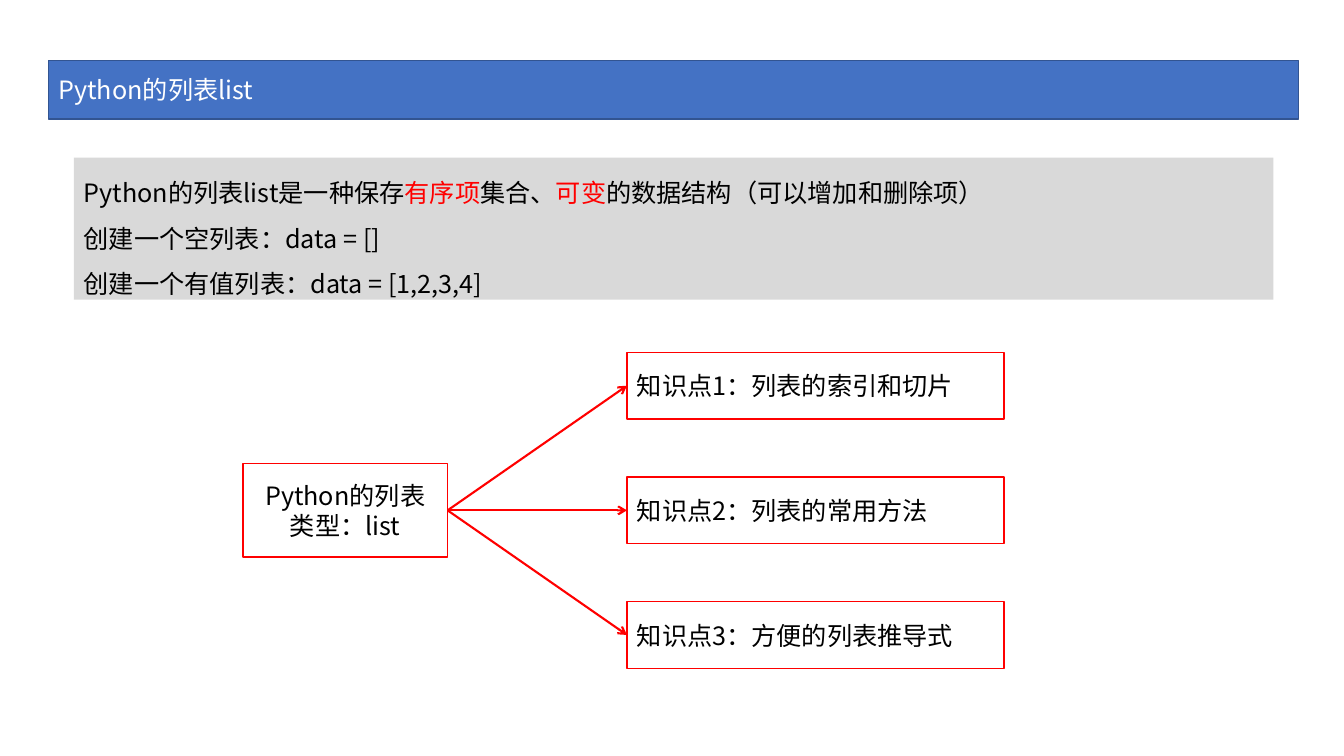
"""Build a slide that introduces the Python list and its three topics."""
from lxml import etree
from pptx import Presentation
from pptx.dml.color import RGBColor
from pptx.enum.shapes import MSO_CONNECTOR as CONN, MSO_SHAPE as SHAPE
from pptx.enum.text import MSO_ANCHOR as ANCHOR, MSO_AUTO_SIZE as AUTO, PP_ALIGN as ALIGN
from pptx.oxml.ns import qn
from pptx.util import Cm, Pt

FONT = "Noto Sans CJK SC"
BLACK, WHITE, RED = "000000", "FFFFFF", "FF0000"
BLUE, NAVY, GRAY = "4472C4", "325491", "D9D9D9"

TITLE = [[("Python的列表list", WHITE)]]
INTRO = [
    [("Python的列表list是一种保存", BLACK), ("有序项", RED), ("集合、", BLACK),
     ("可变", RED), ("的数据结构（可以增加和删除项）", BLACK)],
    [("创建一个空列表：data = []", BLACK)],
    [("创建一个有值列表：data = [1,2,3,4]", BLACK)],
]
ROOT = [[("Python的列表", BLACK)], [("类型：list", BLACK)]]
TOPICS = ["列表的索引和切片", "列表的常用方法", "方便的列表推导式"]

ROOT_X, ROOT_W, ROOT_H = 6.12, 5.16, 2.36
TOPIC_X, TOPIC_W, TOPIC_H = 15.8, 9.5, 1.68
MID_Y, PITCH = 12.86, 3.14


def color(value):
    return RGBColor.from_string(value)


def add_box(slide, x, y, w, h, lines, fill, line=None, align=ALIGN.LEFT, spacing=None):
    sp = slide.shapes.add_shape(SHAPE.RECTANGLE, Cm(x), Cm(y), Cm(w), Cm(h))
    sp.shadow.inherit = False
    sp.fill.solid()
    sp.fill.fore_color.rgb = color(fill)
    if line:
        sp.line.color.rgb = color(line)
        sp.line.width = Pt(1)
    else:
        sp.line.fill.background()
    tf = sp.text_frame
    tf.word_wrap = True
    tf.vertical_anchor = ANCHOR.MIDDLE
    for i, runs in enumerate(lines):
        p = tf.add_paragraph() if i else tf.paragraphs[0]
        p.alignment = align
        p.line_spacing = spacing
        for text, ink in runs:
            r = p.add_run()
            r.text = text
            r.font.size = Pt(18)
            r.font.name = FONT
            r.font.color.rgb = color(ink)
            etree.SubElement(r.font._element, qn("a:ea"), typeface=FONT)
    return sp


def add_arrow(slide, x1, y1, x2, y2):
    cn = slide.shapes.add_connector(CONN.STRAIGHT, Cm(x1), Cm(y1), Cm(x2), Cm(y2))
    cn.line.color.rgb = color(RED)
    cn.line.width = Pt(1.5)
    etree.SubElement(cn.line._get_or_add_ln(), qn("a:tailEnd"), type="arrow")
    etree.SubElement(cn._element.spPr, qn("a:effectLst"))


def main():
    prs = Presentation()
    prs.slide_width, prs.slide_height = Cm(33.87), Cm(19.05)
    slide = prs.slides.add_slide(prs.slide_layouts[6])

    add_box(slide, 1.22, 1.52, 31.5, 1.48, TITLE, BLUE, NAVY)
    intro = add_box(slide, 1.86, 3.97, 30.23, 3.58, INTRO, GRAY, spacing=1.5)
    intro.text_frame.vertical_anchor = ANCHOR.TOP
    intro.text_frame.auto_size = AUTO.SHAPE_TO_FIT_TEXT
    add_box(slide, ROOT_X, MID_Y - ROOT_H / 2, ROOT_W, ROOT_H, ROOT, WHITE, RED, ALIGN.CENTER)

    centers = [MID_Y + (i - 1) * PITCH for i in range(len(TOPICS))]
    for i, (topic, y) in enumerate(zip(TOPICS, centers), 1):
        lines = [[(f"知识点{i}：{topic}", BLACK)]]
        add_box(slide, TOPIC_X, y - TOPIC_H / 2, TOPIC_W, TOPIC_H, lines, WHITE, RED)
    for y in centers:
        add_arrow(slide, ROOT_X + ROOT_W, MID_Y, TOPIC_X, y)

    prs.save("out.pptx")


if __name__ == "__main__":
    main()
